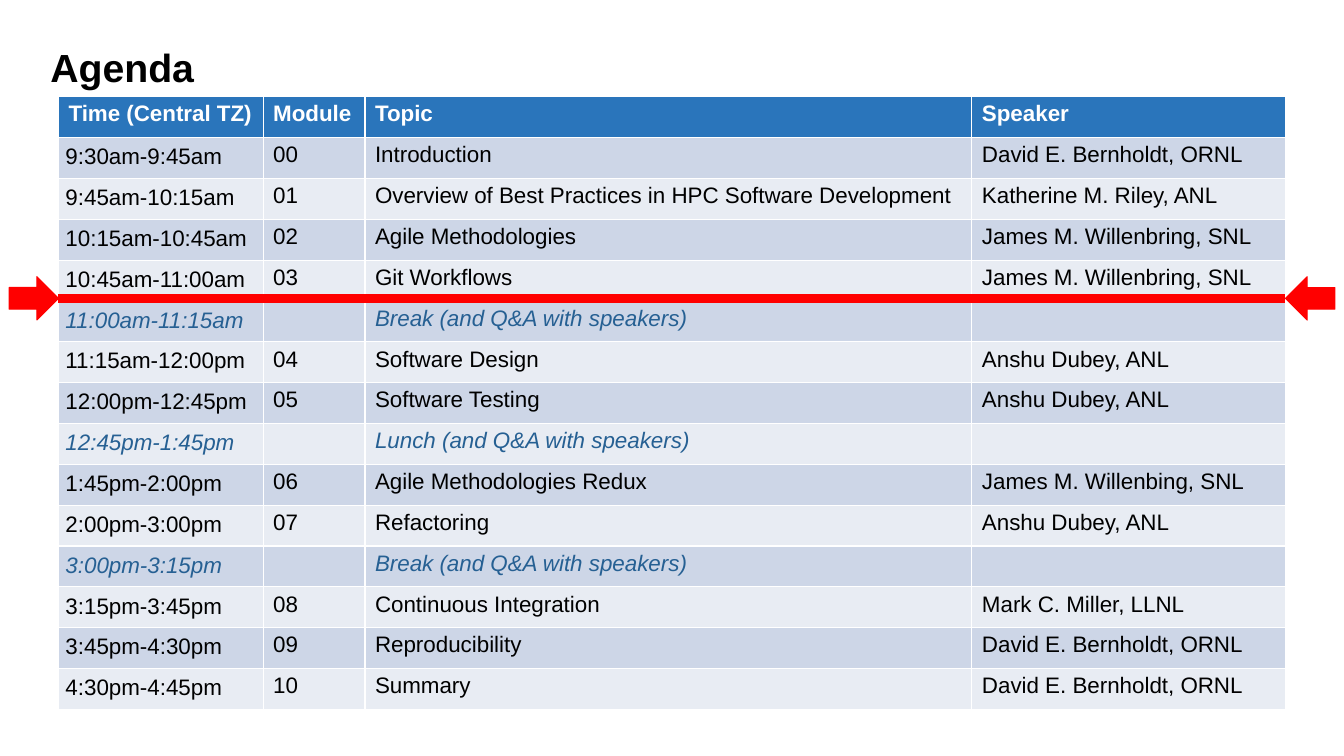
from pptx import Presentation
from pptx.dml.color import RGBColor
from pptx.enum.shapes import MSO_CONNECTOR as Connector, MSO_SHAPE as Shape
from pptx.enum.text import MSO_ANCHOR as Anchor, PP_ALIGN as Align
from pptx.oxml.ns import qn
from pptx.util import Inches, Pt

TITLE = "Agenda"
HEADER = ("Time (Central TZ)", "Module", "Topic", "Speaker")
SESSIONS = [
    ("9:30am-9:45am", "00", "Introduction", "David E. Bernholdt, ORNL"),
    ("9:45am-10:15am", "01", "Overview of Best Practices in HPC Software Development",
     "Katherine M. Riley, ANL"),
    ("10:15am-10:45am", "02", "Agile Methodologies", "James M. Willenbring, SNL"),
    ("10:45am-11:00am", "03", "Git Workflows", "James M. Willenbring, SNL"),
    ("11:00am-11:15am", "", "Break (and Q&A with speakers)", ""),
    ("11:15am-12:00pm", "04", "Software Design", "Anshu Dubey, ANL"),
    ("12:00pm-12:45pm", "05", "Software Testing", "Anshu Dubey, ANL"),
    ("12:45pm-1:45pm", "", "Lunch (and Q&A with speakers)", ""),
    ("1:45pm-2:00pm", "06", "Agile Methodologies Redux", "James M. Willenbing, SNL"),
    ("2:00pm-3:00pm", "07", "Refactoring", "Anshu Dubey, ANL"),
    ("3:00pm-3:15pm", "", "Break (and Q&A with speakers)", ""),
    ("3:15pm-3:45pm", "08", "Continuous Integration", "Mark C. Miller, LLNL"),
    ("3:45pm-4:30pm", "09", "Reproducibility", "David E. Bernholdt, ORNL"),
    ("4:30pm-4:45pm", "10", "Summary", "David E. Bernholdt, ORNL"),
]
COLUMN_WIDTHS = (2.03, 1.01, 6.02, 3.11)
TABLE_LEFT, TABLE_TOP, TABLE_HEIGHT = 0.58, 0.96, 6.08
TABLE_WIDTH = sum(COLUMN_WIDTHS)
TABLE_RIGHT = TABLE_LEFT + TABLE_WIDTH
TIME_INSET = 0.07
MARKER_Y = 2.96
ARROW_WIDTH, ARROW_HEIGHT = 0.49, 0.43

BLACK, WHITE, RED = "000000", "FFFFFF", "FF0000"
HEADER_BLUE, PAUSE_BLUE = "2A75BB", "266093"
BANDS = ("E8ECF3", "CDD6E7")


def color(value):
    return RGBColor.from_string(value)


def add_span(para, text, size, tint, bold=False, italic=False):
    span = para.add_run()
    span.text = text
    font = span.font
    font.name, font.size = "Arial", Pt(size)
    font.bold, font.italic = bold, italic
    font.color.rgb = color(tint)


def add_title(page):
    title = page.shapes.title
    title.left, title.top = Inches(0.4), Inches(0.45)
    title.width, title.height = Inches(12.44), Inches(1)
    frame = title.text_frame
    frame.vertical_anchor = Anchor.TOP
    para = frame.paragraphs[0]
    para.alignment = Align.LEFT
    para.line_spacing = 0.85
    add_span(para, TITLE, 28, BLACK, bold=True)


def add_agenda(page):
    rows = [HEADER] + SESSIONS
    table = page.shapes.add_table(
        len(rows), len(HEADER), Inches(TABLE_LEFT), Inches(TABLE_TOP),
        Inches(TABLE_WIDTH), Inches(TABLE_HEIGHT)).table
    for column, width in zip(table.columns, COLUMN_WIDTHS):
        column.width = Inches(width)
    for row_index, row in enumerate(rows):
        is_header = row_index == 0
        is_pause = not row[1]
        fill = HEADER_BLUE if is_header else BANDS[row_index % 2]
        tint = WHITE if is_header else PAUSE_BLUE if is_pause else BLACK
        for column_index, text in enumerate(row):
            cell = table.cell(row_index, column_index)
            cell.fill.solid()
            cell.fill.fore_color.rgb = color(fill)
            if column_index == 0 and not is_header:
                cell.margin_left = cell.margin_right = Inches(TIME_INSET)
                cell.margin_top = cell.margin_bottom = Inches(TIME_INSET)
            if text:
                add_span(cell.text_frame.paragraphs[0], text, 16, tint,
                         bold=is_header, italic=is_pause)


def add_marker(page):
    group = page.shapes.add_group_shape()
    line = group.shapes.add_connector(
        Connector.STRAIGHT, Inches(TABLE_LEFT), Inches(MARKER_Y),
        Inches(TABLE_RIGHT), Inches(MARKER_Y))
    line.line.color.rgb = color(RED)
    line.line.width = Pt(6)
    properties = line._element.spPr
    properties.append(properties.makeelement(qn("a:effectLst"), {}))
    for left, rotation in ((TABLE_LEFT - ARROW_WIDTH, 0), (TABLE_RIGHT, 180)):
        arrow = group.shapes.add_shape(
            Shape.RIGHT_ARROW, Inches(left), Inches(MARKER_Y - ARROW_HEIGHT / 2),
            Inches(ARROW_WIDTH), Inches(ARROW_HEIGHT))
        arrow.rotation = rotation
        arrow.shadow.inherit = False
        arrow.fill.solid()
        arrow.fill.fore_color.rgb = color(RED)
        arrow.line.color.rgb = color(RED)
        arrow.line.width = Pt(0.75)


def main():
    deck = Presentation()
    deck.slide_width, deck.slide_height = Inches(13.33), Inches(7.5)
    page = deck.slides.add_slide(deck.slide_layouts[5])
    add_title(page)
    add_agenda(page)
    add_marker(page)
    deck.save("out.pptx")


if __name__ == "__main__":
    main()
